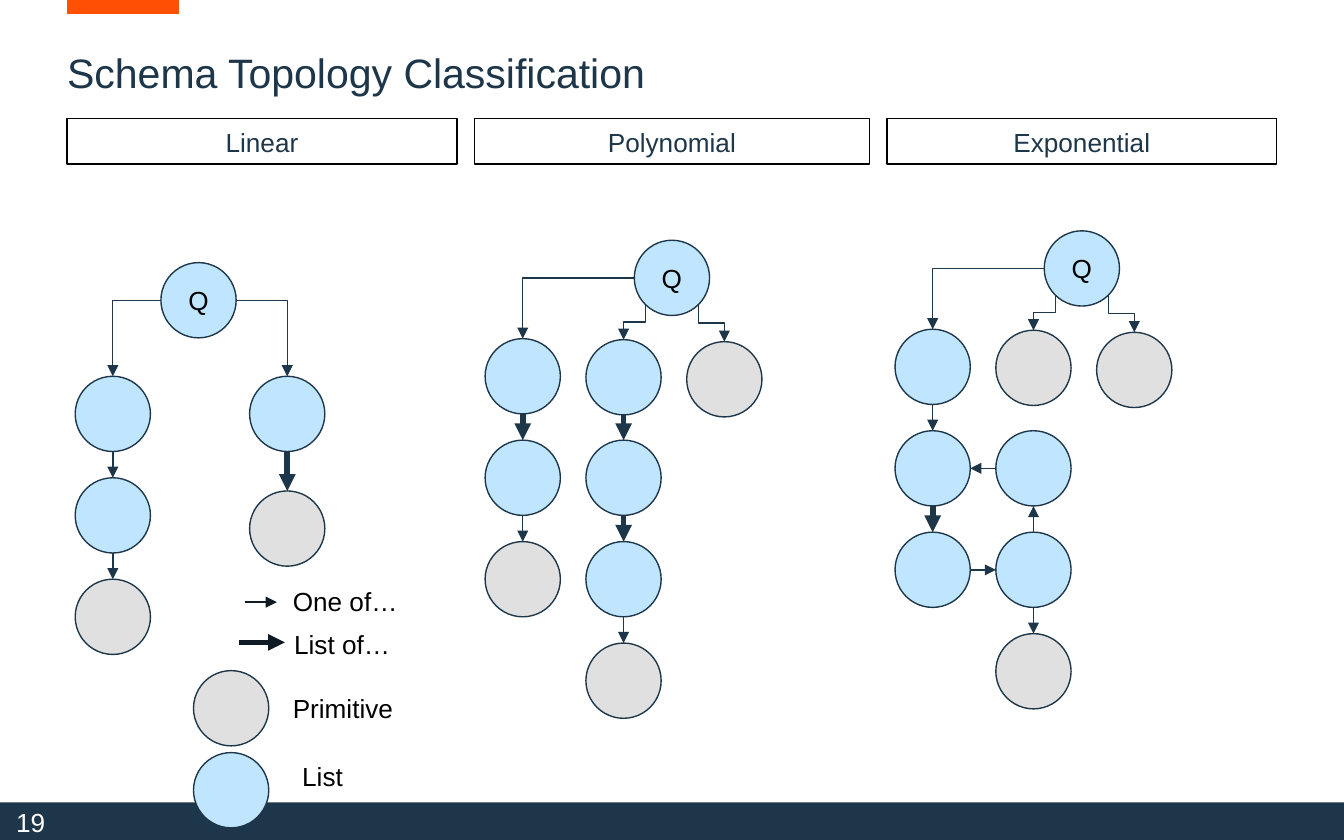
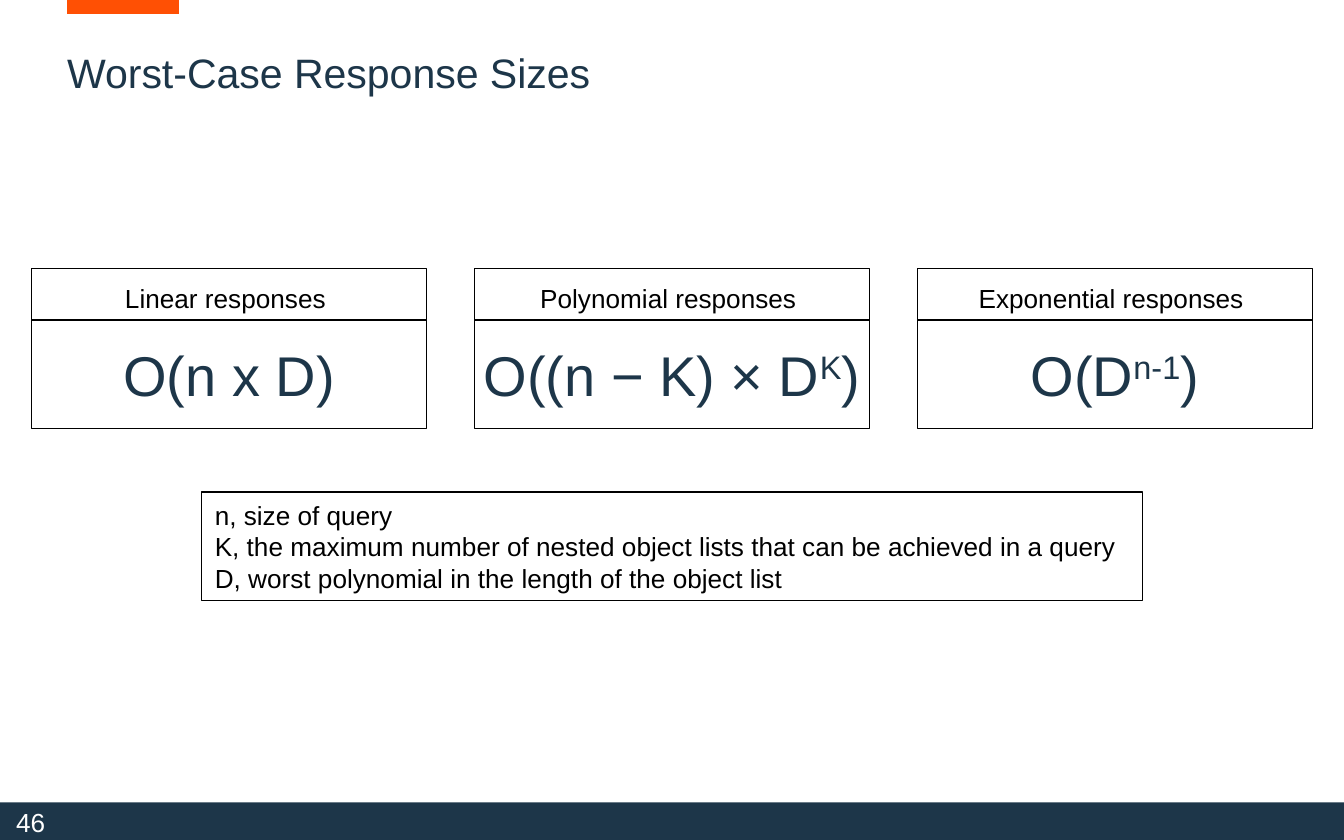
from lxml import etree
from pptx import Presentation
from pptx.dml.color import RGBColor
from pptx.enum.shapes import MSO_CONNECTOR, MSO_SHAPE
from pptx.enum.text import MSO_ANCHOR, PP_ALIGN
from pptx.oxml.ns import qn
from pptx.util import Inches, Pt

STRAIGHT, ELBOW = MSO_CONNECTOR.STRAIGHT, MSO_CONNECTOR.ELBOW
RECT, OVAL = MSO_SHAPE.RECTANGLE, MSO_SHAPE.OVAL
TOP, MIDDLE = MSO_ANCHOR.TOP, MSO_ANCHOR.MIDDLE
LEFT, CENTER = PP_ALIGN.LEFT, PP_ALIGN.CENTER

COLORS = {"navy": "1D3649", "orange": "FF5004", "white": "FFFFFF", "black": "000000",
          "list": "C0E6FF", "primitive": "E0E0E0", "legend arrow": "0E1B24"}
FONT = "Arial"
SLIDE_W, SLIDE_H = 10, 6.25
MARGIN = 0.5
BAND_H = 0.28
BODY_PT, TITLE_PT, FORMULA_PT = 14, 22, 30
THIN, THICK = 0.75, 3
WIDTHS = {"one": THIN, "many": THICK}
BODY_INSETS = (0, 0.06)

# Nodes: name -> (column, row, kind). Links: (from, to, "one" or "many").
# The grid starts at the first list below the query node Q.
TOPOLOGIES = [
    {"name": "Linear", "header": (0.5, 2.9), "start": (0.56, 2.8),
     "nodes": {"Q": (0.85, -1.12, "list"),
               "a": (0, 0, "list"), "b": (0, 1, "list"), "c": (0, 2, "primitive"),
               "d": (1.73, 0, "list"), "e": (1.73, 1.13, "primitive")},
     "links": [("Q", "a", "one"), ("a", "b", "one"), ("b", "c", "one"),
               ("Q", "d", "one"), ("d", "e", "many")]},
    {"name": "Polynomial", "header": (3.53, 2.94), "start": (3.61, 2.52),
     "nodes": {"Q": (1.48, -0.97, "list"),
               "a": (0, 0, "list"), "b": (0, 1, "list"), "c": (0, 2, "primitive"),
               "d": (1, 0.01, "list"), "e": (1, 1, "list"), "f": (1, 2, "list"),
               "g": (1, 3, "primitive"), "h": (2, 0.03, "primitive")},
     "links": [("Q", "a", "one"), ("a", "b", "many"), ("b", "c", "one"),
               ("Q", "d", "one"), ("d", "e", "many"), ("e", "f", "many"),
               ("f", "g", "one"), ("Q", "h", "one")]},
    {"name": "Exponential", "header": (6.6, 2.9), "start": (6.66, 2.45),
     "nodes": {"Q": (1.48, -0.97, "list"),
               "a": (0, 0, "list"), "b": (0, 1, "list"), "c": (0, 2, "list"),
               "d": (1, 2, "list"), "e": (1, 1, "list"), "f": (1, 3, "primitive"),
               "g": (1, 0.01, "primitive"), "h": (2, 0.03, "primitive")},
     "links": [("Q", "a", "one"), ("a", "b", "one"), ("b", "c", "many"),
               ("c", "d", "one"), ("d", "e", "one"), ("e", "b", "one"),
               ("d", "f", "one"), ("Q", "g", "one"), ("Q", "h", "one")]},
]
NODE_SIZE = 0.56
COLUMN_STEP, ROW_STEP = 0.75, 0.755

LEGEND_ARROWS = [("one", 1.82, 2.06, 4.48), ("many", 1.78, 2.12, 4.78)]
LEGEND_NODES = [("primitive", 1.44, 4.99), ("list", 1.44, 5.6)]
LEGEND_LABELS = [("One of…", 2.08, 4.31, 0.99), ("List of…", 2.09, 4.63, 0.92),
                 ("Primitive", 2.08, 5.1, 0.95), ("List", 2.15, 5.61, 0.51)]

# Formula pieces starting with ^ are raised.
RESPONSES = [("Linear responses ", ["O(n x D)"]),
             ("Polynomial responses ", ["O((n − K) × D", "^K", ")"]),
             ("Exponential responses ", ["O(D", "^n-1", ")"])]
DEFINITIONS = ["n, size of query",
               "K, the maximum number of nested object lists that can be achieved in a query",
               "D, worst polynomial in the length of the object list"]


def color(name):
    return RGBColor.from_string(COLORS[name])


def write(shape, paragraphs, size=BODY_PT, ink="black", align=LEFT, anchor=TOP,
          insets=(0.1, 0.1), spacing=None, wrap=True):
    """Fill a shape with paragraphs, each a list of pieces; ^ raises a piece."""
    frame = shape.text_frame
    frame.word_wrap = wrap
    frame.vertical_anchor = anchor
    frame.margin_left = frame.margin_right = Inches(insets[0])
    frame.margin_top = frame.margin_bottom = Inches(insets[1])
    for i, pieces in enumerate(paragraphs):
        paragraph = frame.paragraphs[0] if i == 0 else frame.add_paragraph()
        paragraph.alignment = align
        if spacing:
            paragraph.line_spacing = spacing
        for piece in pieces:
            run = paragraph.add_run()
            run.text = piece.lstrip("^")
            run.font.name, run.font.size = FONT, Pt(size)
            run.font.color.rgb = color(ink)
            if piece.startswith("^"):
                run._r.get_or_add_rPr().set("baseline", "30000")


def add_label(slide, box, text, **style):
    label = slide.shapes.add_textbox(*map(Inches, box))
    write(label, [[text]], **style)


def add_figure(slide, kind, box, fill=None, line=None):
    figure = slide.shapes.add_shape(kind, *map(Inches, box))
    figure.shadow.inherit = False
    if fill:
        figure.fill.solid()
        figure.fill.fore_color.rgb = color(fill)
    else:
        figure.fill.background()
    if line:
        figure.line.color.rgb = color(line)
        figure.line.width = Pt(THIN)
    else:
        figure.line.fill.background()
    return figure


def add_line(slide, kind, start, end, ink, width, arrow=True):
    line = slide.shapes.add_connector(kind, *map(Inches, (*start, *end)))
    line.line.color.rgb = color(ink)
    line.line.width = Pt(width)
    properties = line._element.spPr
    if arrow:
        etree.SubElement(properties.find(qn("a:ln")), qn("a:tailEnd"), type="triangle")
    etree.SubElement(properties, qn("a:effectLst"))
    return properties


def add_corner(slide, start, end, width):
    """Arrow that runs sideways, then down."""
    properties = add_line(slide, ELBOW, start, end, "navy", width)
    properties.find(qn("a:prstGeom")).set("prst", "bentConnector2")


def add_step(slide, start, end, width):
    """Arrow that runs down, sideways and down again: a turned elbow."""
    (x1, y1), (x2, y2) = start, end
    center_x, center_y = (x1 + x2) / 2, (y1 + y2) / 2
    half_w, half_h = (y2 - y1) / 2, abs(x2 - x1) / 2
    side, turn = (1, 90) if x2 < x1 else (-1, 270)
    properties = add_line(slide, ELBOW,
                          (center_x - side * half_w, center_y - half_h),
                          (center_x + side * half_w, center_y + half_h), "navy", width)
    properties.find(qn("a:xfrm")).set("rot", str(turn * 60000))


def add_link(slide, source, target, width):
    """Join two node centers, choosing the route by how far apart they are."""
    (x1, y1), (x2, y2) = source, target
    radius = NODE_SIZE / 2
    dx, dy = x2 - x1, y2 - y1
    side = 1 if dx > 0 else -1
    down = 1 if dy > 0 else -1
    if abs(dx) < 0.01:
        add_line(slide, STRAIGHT, (x1, y1 + down * radius), (x2, y2 - down * radius),
                 "navy", width)
    elif abs(dy) < 0.01:
        add_line(slide, STRAIGHT, (x1 + side * radius, y1), (x2 - side * radius, y2),
                 "navy", width)
    elif abs(dx) > 0.5:
        add_corner(slide, (x1 + side * radius, y1), (x2, y2 - radius), width)
    else:
        diagonal = radius * 0.5 ** 0.5
        add_step(slide, (x1 + side * diagonal, y1 + diagonal), (x2, y2 - radius), width)


def add_node(slide, kind, left, top):
    return add_figure(slide, OVAL, (left, top, NODE_SIZE, NODE_SIZE), kind, "navy")


def add_base_slide(deck, title, number):
    slide = deck.slides.add_slide(deck.slide_layouts[6])
    add_line(slide, STRAIGHT, (MARGIN, 0.05), (1.33, 0.05), "orange", 8, arrow=False)
    add_figure(slide, RECT, (0, SLIDE_H - BAND_H, SLIDE_W, BAND_H), "navy")
    add_label(slide, (0.12, 5.99, 1.91, BAND_H), str(number), ink="white",
              anchor=MIDDLE, insets=(0, 0), spacing=0.9)
    add_label(slide, (MARGIN, 0.25, SLIDE_W - 2 * MARGIN, 0.38), title, size=TITLE_PT,
              ink="navy", insets=(0, 0), spacing=1.28)
    return slide


def draw_topology(slide, topology):
    left, width = topology["header"]
    header = add_figure(slide, RECT, (left, 0.88, width, 0.34), line="black")
    write(header, [[topology["name"]]], ink="navy", align=CENTER, insets=BODY_INSETS)
    start_x, start_y = topology["start"]
    centers = {}
    for name, (column, row, kind) in topology["nodes"].items():
        x, y = start_x + column * COLUMN_STEP, start_y + row * ROW_STEP
        node = add_node(slide, kind, x, y)
        if name == "Q":
            write(node, [[name]], align=CENTER, anchor=MIDDLE)
        centers[name] = (x + NODE_SIZE / 2, y + NODE_SIZE / 2)
    for source, target, count in topology["links"]:
        add_link(slide, centers[source], centers[target], WIDTHS[count])


def draw_legend(slide):
    for kind, left, top in LEGEND_NODES:
        add_node(slide, kind, left, top)
    for count, x1, x2, y in LEGEND_ARROWS:
        add_line(slide, STRAIGHT, (x1, y), (x2, y), "legend arrow", WIDTHS[count])
    for text, left, top, width in LEGEND_LABELS:
        add_label(slide, (left, top, width, 0.34), text, insets=(0.1, 0.05), wrap=False)


def draw_responses(slide):
    width, name_h, formula_h, top = 2.94, 0.38, 0.81, 2
    step = 3.295
    first = (SLIDE_W - width) / 2 - step
    for i, (name, formula) in enumerate(RESPONSES):
        left = first + i * step
        formula_box = add_figure(slide, RECT, (left, top + name_h, width, formula_h),
                                 line="black")
        write(formula_box, [formula], size=FORMULA_PT, ink="navy", align=CENTER,
              anchor=MIDDLE, insets=BODY_INSETS)
        name_box = add_figure(slide, RECT, (left, top, width, name_h), line="black")
        write(name_box, [[name]], align=CENTER)
    definitions = add_figure(slide, RECT, (1.5, 3.66, 7, 0.81), line="black")
    write(definitions, [[line] for line in DEFINITIONS], anchor=MIDDLE)


def main():
    deck = Presentation()
    deck.slide_width, deck.slide_height = Inches(SLIDE_W), Inches(SLIDE_H)
    topology_slide = add_base_slide(deck, "Schema Topology Classification", 19)
    for topology in TOPOLOGIES:
        draw_topology(topology_slide, topology)
    draw_legend(topology_slide)
    draw_responses(add_base_slide(deck, "Worst-Case Response Sizes", 46))
    deck.save("out.pptx")


if __name__ == "__main__":
    main()
